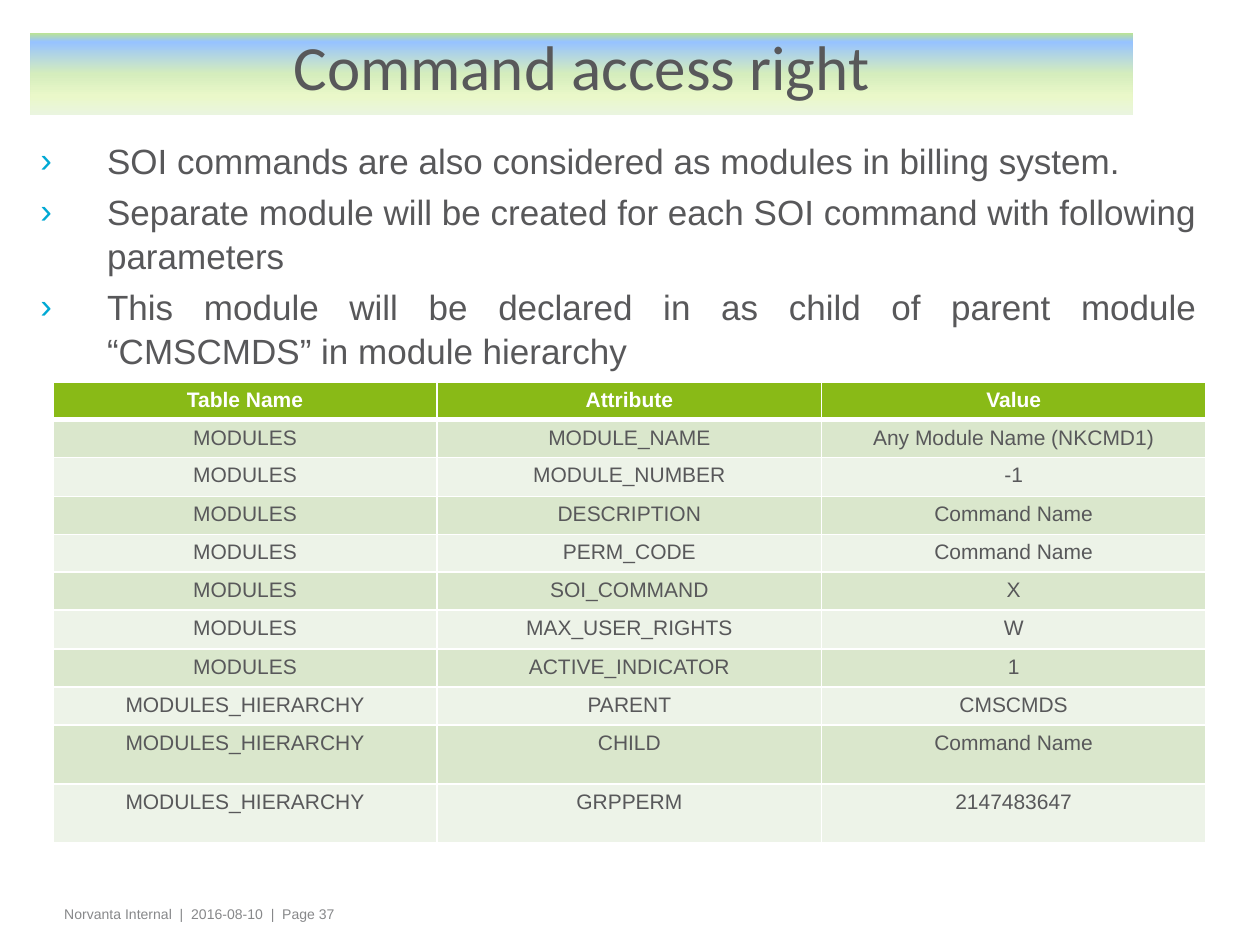
import lxml.etree
import pptx
import pptx.dml.color
import pptx.enum.shapes
import pptx.enum.text
import pptx.oxml
import pptx.oxml.ns
import pptx.util

Inches, Pt = pptx.util.Inches, pptx.util.Pt
ALIGN = pptx.enum.text.PP_ALIGN
WIDTH, HEIGHT = 10, 7.5
LEFT = 0.24
COLORS = {
    "text": "58585A", "footer": "87888A", "bullet": "00A9D4", "white": "FFFFFF",
    "header": "89BA17", "odd": "DAE7CC", "even": "EDF3E8",
}
TITLE_STOPS = [(0, "BDE590"), (11, "97C3FF"), (50, "D5EDBD"), (78, "EAF8C9"), (100, "EAF5DF")]
BULLETS = [
    "SOI commands are also considered as modules in billing system.",
    "Separate module will be created for each SOI command with following parameters",
    "This module will be declared in as child of parent module “CMSCMDS” in module hierarchy",
]
HEADINGS = ("Table Name", "Attribute", "Value")
PARAMETERS = {
    "MODULES": [
        ("MODULE_NAME", "Any Module Name (NKCMD1)"), ("MODULE_NUMBER", "-1"),
        ("DESCRIPTION", "Command Name"), ("PERM_CODE", "Command Name"),
        ("SOI_COMMAND", "X"), ("MAX_USER_RIGHTS", "W"), ("ACTIVE_INDICATOR", "1"),
    ],
    "MODULES_HIERARCHY": [
        ("PARENT", "CMSCMDS"), ("CHILD", "Command Name"), ("GRPPERM", "2147483647"),
    ],
}
ROW_HEIGHT = 0.29
SPECIAL_HEIGHTS = {0: 0.28, 2: 0.31, 6: 0.31, 9: 0.47, 10: 0.47}


def rgb(name):
    return pptx.dml.color.RGBColor.from_string(COLORS[name])


def add_child(parent, tag, **attributes):
    child = lxml.etree.SubElement(parent, pptx.oxml.ns.qn(tag))
    for key, value in attributes.items():
        child.set(key, str(value))
    return child


def add_span(para, text, size, color="text", font="Arial", bold=False):
    span = para.add_run()
    span.text = text
    span.font.size, span.font.name, span.font.bold = Pt(size), font, bold
    span.font.color.rgb = rgb(color)


def set_frame(frame, vertical_inset):
    frame.word_wrap = True
    frame.margin_left = frame.margin_right = Inches(0.08)
    frame.margin_top = frame.margin_bottom = Inches(vertical_inset)


def add_text_box(page, left, top, width, height, vertical_inset=0):
    box = page.shapes.add_textbox(*map(Inches, (left, top, width, height)))
    set_frame(box.text_frame, vertical_inset)
    return box.text_frame


def add_title(page, text):
    band = page.shapes.add_shape(
        pptx.enum.shapes.MSO_SHAPE.RECTANGLE, *map(Inches, (LEFT, 0.26, 8.75, 0.65)))
    band.shadow.inherit = False
    band.line.fill.background()
    # Gradient running from top to bottom
    band.fill.gradient()
    band.fill.gradient_angle = 270
    stops = band.fill._fill._gradFill.find(pptx.oxml.ns.qn("a:gsLst"))
    for stop in list(stops):
        stops.remove(stop)
    for position, color in TITLE_STOPS:
        stop = add_child(stops, "a:gs", pos=position * 1000)
        add_child(stop, "a:srgbClr", val=color)
    frame = band.text_frame
    set_frame(frame, 0)
    frame.vertical_anchor = pptx.enum.text.MSO_ANCHOR.MIDDLE
    para = frame.paragraphs[0]
    para.alignment, para.line_spacing = ALIGN.CENTER, 0.75
    add_span(para, text, 36, font="Calibri")


def add_bullets(page, lines):
    frame = add_text_box(page, LEFT, 1.09, 9.34, 1.85)
    for index, line in enumerate(lines):
        para = frame.add_paragraph() if index else frame.paragraphs[0]
        para.alignment = ALIGN.JUSTIFY
        para.space_before, para.line_spacing = Pt(4), 1.05
        properties = para._p.get_or_add_pPr()
        properties.set("marL", str(Inches(0.53)))
        properties.set("indent", str(-Inches(0.53)))
        color = add_child(properties, "a:buClr")
        add_child(color, "a:srgbClr", val=COLORS["bullet"])
        add_child(properties, "a:buFont", typeface="Arial")
        add_child(properties, "a:buChar", char="›")
        add_span(para, line, 20)


def add_borders(cell, top, bottom):
    properties = cell._tc.get_or_add_tcPr()
    for index, (side, width) in enumerate((("L", 1), ("R", 1), ("T", top), ("B", bottom))):
        line = add_child(properties, f"a:ln{side}", w=Pt(width))
        fill = add_child(line, "a:solidFill")
        add_child(fill, "a:srgbClr", val=COLORS["white"])
        properties.insert(index, line)  # borders come before the cell fill


def add_parameter_table(page):
    rows = [HEADINGS] + [
        (name, *pair) for name, pairs in PARAMETERS.items() for pair in pairs]
    heights = [SPECIAL_HEIGHTS.get(index, ROW_HEIGHT) for index in range(len(rows))]
    table = page.shapes.add_table(
        len(rows), len(HEADINGS), *map(Inches, (0.42, 3.03, 9.15, sum(heights)))).table
    for row_index, values in enumerate(rows):
        table.rows[row_index].height = Inches(heights[row_index])
        heading = row_index == 0
        shade = "header" if heading else ("even", "odd")[row_index % 2]
        for column_index, value in enumerate(values):
            cell = table.cell(row_index, column_index)
            cell.fill.solid()
            cell.fill.fore_color.rgb = rgb(shade)
            add_borders(cell, top=3 if row_index == 1 else 1, bottom=3 if heading else 1)
            para = cell.text_frame.paragraphs[0]
            para.alignment = ALIGN.CENTER
            add_span(para, value, 12, "white" if heading else "text", bold=heading)


def add_footer(page, text):
    frame = add_text_box(page, 0.43, 7.14, 8.09, 0.24, vertical_inset=0.05)
    add_span(frame.paragraphs[0], text, 8, "footer")


def main():
    deck = pptx.Presentation()
    deck.slide_width, deck.slide_height = Inches(WIDTH), Inches(HEIGHT)
    page = deck.slides.add_slide(deck.slide_layouts[6])
    add_footer(page, "Norvanta Internal  |  2016-08-10  |  Page 37")
    add_bullets(page, BULLETS)
    add_title(page, "Command access right")
    add_parameter_table(page)
    deck.save("out.pptx")


if __name__ == "__main__":
    main()
